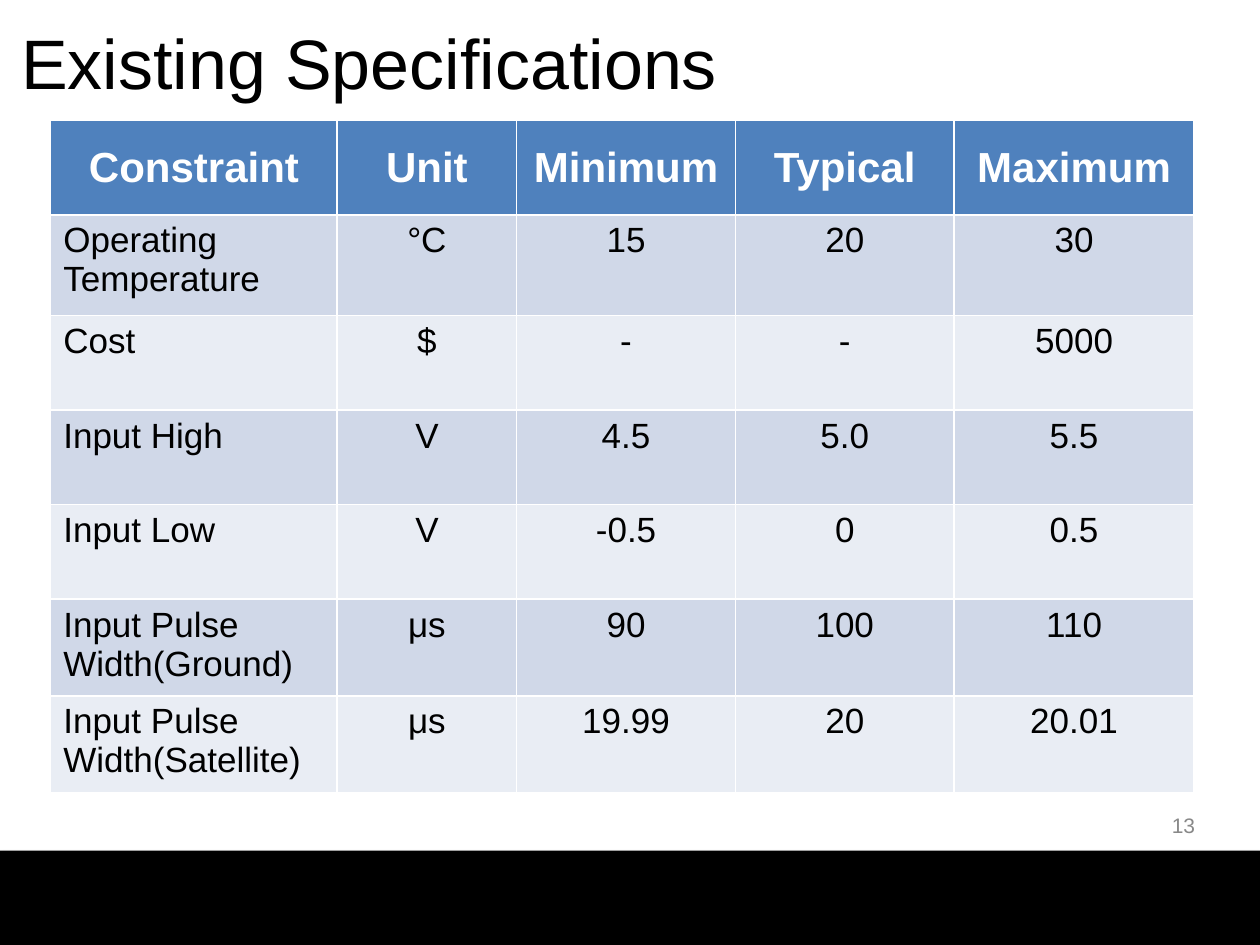
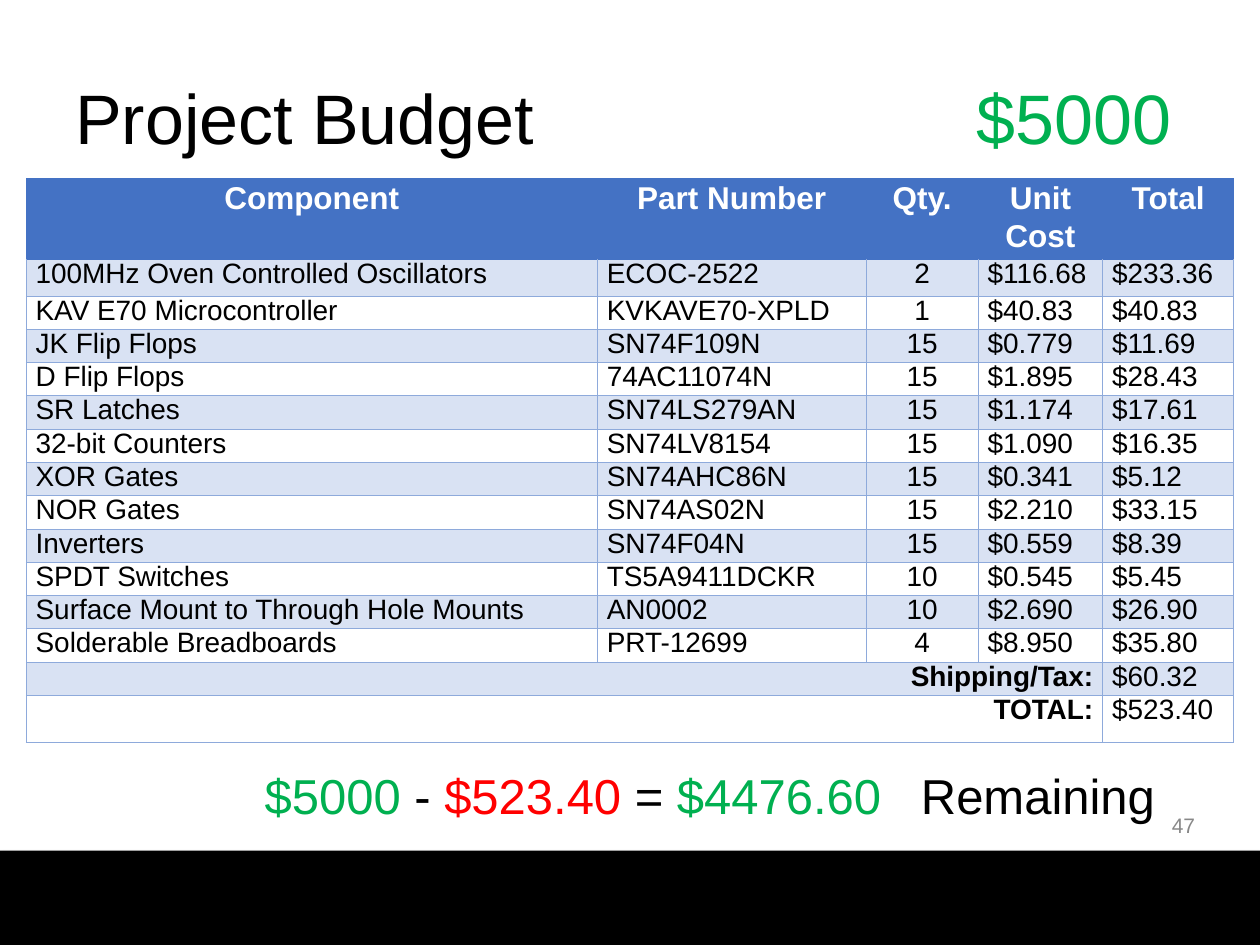
from lxml import etree
from pptx import Presentation
from pptx import util as u
from pptx.dml.color import RGBColor
from pptx.enum import shapes, text
from pptx.oxml import ns

Pt = u.Pt
FONT = "Arial"
BLACK = RGBColor(0x00, 0x00, 0x00)
WHITE = RGBColor(0xFF, 0xFF, 0xFF)
GREEN = RGBColor(0x00, 0xB0, 0x50)
RED = RGBColor(0xFF, 0x00, 0x00)
GREY = RGBColor(0x88, 0x88, 0x88)
SPEC_HEAD = RGBColor(0x4F, 0x81, 0xBD)
SPEC_DARK = RGBColor(0xD0, 0xD8, 0xE8)
SPEC_LIGHT = RGBColor(0xE9, 0xED, 0xF4)
COST_HEAD = RGBColor(0x44, 0x72, 0xC4)
COST_BAND = RGBColor(0xD9, 0xE2, 0xF3)
COST_LINE = RGBColor(0x8E, 0xAA, 0xDB)

# Built-in table styles
WHITE_GRID = "{5C22544A-7EE6-4342-B048-85BDC9FD1C3A}"
NO_GRID = "{2D5ABB26-0587-4C30-8999-92F81FD0307C}"

LEFT, CENTER, RIGHT = text.PP_ALIGN.LEFT, text.PP_ALIGN.CENTER, text.PP_ALIGN.RIGHT


def write_spans(para, spans, size, align=LEFT, bold=False):
    """Add coloured runs to a paragraph."""
    para.alignment = align
    for words, colour in spans:
        span = para.add_run()
        span.text = words
        span.font.name = FONT
        span.font.size = Pt(size)
        span.font.bold = bold
        span.font.color.rgb = colour


def add_text(page, left, top, width, height, spans, size, align=LEFT, tab=None):
    """Add a vertically centred text box, with one optional tab stop."""
    box = page.shapes.add_textbox(Pt(left), Pt(top), Pt(width), Pt(height))
    box.text_frame.word_wrap = True
    box.text_frame.vertical_anchor = text.MSO_ANCHOR.MIDDLE
    para = box.text_frame.paragraphs[0]
    if tab:
        stops = etree.SubElement(para._p.get_or_add_pPr(), ns.qn("a:tabLst"))
        etree.SubElement(stops, ns.qn("a:tab"), pos=str(Pt(tab)), algn="l")
    write_spans(para, spans, size, align)


deck = Presentation()
deck.slide_width, deck.slide_height = Pt(720), Pt(540)

# Shared bottom band and page number
pages = []
for number in ("13", "47"):
    page = deck.slides.add_slide(deck.slide_layouts[6])
    band = page.shapes.add_shape(shapes.MSO_SHAPE.RECTANGLE, 0, Pt(486), Pt(720), Pt(54))
    band.fill.solid()
    band.fill.fore_color.rgb = BLACK
    band.line.fill.background()
    band.shadow.inherit = False
    effects = band._element.spPr.find(ns.qn("a:effectLst"))
    shadow = etree.SubElement(effects, ns.qn("a:outerShdw"), blurRad=str(Pt(3.1)),
                              dist=str(Pt(1.8)), dir="5400000", rotWithShape="0")
    tint = etree.SubElement(shadow, ns.qn("a:srgbClr"), val=str(BLACK))
    etree.SubElement(tint, ns.qn("a:alpha"), val="35000")
    add_text(page, 522, 457, 168, 29, [(number, GREY)], 12, RIGHT)
    pages.append(page)
spec_page, budget_page = pages

# Titles and the remaining budget
add_text(spec_page, 5, 0, 662, 70.5, [("Existing Specifications", BLACK)], 40)
add_text(budget_page, 36, 21.6, 648, 90,
         [("Project Budget\t", BLACK), ("$5000", GREEN)], 40, tab=515)
add_text(budget_page, 144.2, 433.2, 540, 42,
         [("$5000 ", GREEN), ("- ", BLACK), ("$523.40 ", RED), ("= ", BLACK),
          ("$4476.60\t", GREEN), ("Remaining", BLACK)], 28, tab=375)

# Table contents
spec_rows = [
    ("Constraint", "Unit", "Minimum", "Typical", "Maximum"),
    ("Operating Temperature", "°C", "15", "20", "30"),
    ("Cost", "$", "-", "-", "5000"),
    ("Input High", "V", "4.5", "5.0", "5.5"),
    ("Input Low", "V", "-0.5", "0", "0.5"),
    ("Input Pulse Width(Ground)", "μs", "90", "100", "110"),
    ("Input Pulse Width(Satellite)", "μs", "19.99", "20", "20.01"),
]
cost_rows = [
    ("Component", "Part Number", "Qty.", "Unit Cost", "Total"),
    ("100MHz Oven Controlled Oscillators", "ECOC-2522", "2", "$116.68", "$233.36"),
    ("KAV E70 Microcontroller", "KVKAVE70-XPLD", "1", "$40.83", "$40.83"),
    ("JK Flip Flops", "SN74F109N", "15", "$0.779", "$11.69"),
    ("D Flip Flops", "74AC11074N", "15", "$1.895", "$28.43"),
    ("SR Latches", "SN74LS279AN", "15", "$1.174", "$17.61"),
    ("32-bit Counters", "SN74LV8154", "15", "$1.090", "$16.35"),
    ("XOR Gates", "SN74AHC86N", "15", "$0.341", "$5.12"),
    ("NOR Gates", "SN74AS02N", "15", "$2.210", "$33.15"),
    ("Inverters", "SN74F04N", "15", "$0.559", "$8.39"),
    ("SPDT Switches", "TS5A9411DCKR", "10", "$0.545", "$5.45"),
    ("Surface Mount to Through Hole Mounts", "AN0002", "10", "$2.690", "$26.90"),
    ("Solderable Breadboards", "PRT-12699", "4", "$8.950", "$35.80"),
    ("Shipping/Tax:", None, None, None, "$60.32"),
    ("TOTAL:", None, None, None, "$523.40"),
]

# Table styles; paired values are for the header and the body
spec_style = dict(
    page=spec_page, rows=spec_rows, left=29, top=68.8, grid=WHITE_GRID, line=None,
    widths=(163.7, 102.6, 125, 125, 137.1), heights=[54, 57.6] + [54] * 5,
    aligns=(LEFT, CENTER, CENTER, CENTER, CENTER), sizes=(24, 20), spacings=(1, 1),
    fills=(SPEC_HEAD, SPEC_DARK, SPEC_LIGHT), margins=(7.2, 3.6),
    head_anchor=text.MSO_ANCHOR.MIDDLE)
cost_style = dict(
    page=budget_page, rows=cost_rows, left=15, top=102, grid=NO_GRID, line=COST_LINE,
    widths=(326.4, 153.5, 64.1, 71.2, 74.8), heights=[43.4, 20.9] + [19.03] * 12 + [27],
    aligns=(LEFT, LEFT, CENTER, LEFT, LEFT), sizes=(18, 16), spacings=(1.07, 0.97),
    fills=(COST_HEAD, COST_BAND, None), margins=(5.4, 0),
    head_anchor=text.MSO_ANCHOR.TOP)

# Draw both tables
for style in (spec_style, cost_style):
    rows, widths, heights = style["rows"], style["widths"], style["heights"]
    table = style["page"].shapes.add_table(
        len(rows), len(widths), Pt(style["left"]), Pt(style["top"]),
        Pt(sum(widths)), Pt(sum(heights))).table
    table._tbl.tblPr.find(ns.qn("a:tableStyleId")).text = style["grid"]
    table.horz_banding = False
    for column, width in zip(table.columns, widths):
        column.width = Pt(width)

    for r, row in enumerate(rows):
        table.rows[r].height = Pt(heights[r])
        is_head, is_sum = r == 0, None in row
        if is_sum:
            table.cell(r, 0).merge(table.cell(r, 3))
        fill = style["fills"][0 if is_head else 2 - r % 2]
        part = 0 if is_head else 1

        for c, words in enumerate(row):
            cell = table.cell(r, c)
            cell.margin_left = cell.margin_right = Pt(style["margins"][0])
            cell.margin_top = cell.margin_bottom = Pt(style["margins"][1])
            if is_head:
                cell.vertical_anchor = style["head_anchor"]

            # Body borders come before the fill
            if style["line"] and not is_head:
                for side in "LRTB":
                    colour = COST_HEAD if r == 1 and side == "T" else style["line"]
                    edge = etree.SubElement(cell._tc.get_or_add_tcPr(),
                                            ns.qn("a:ln" + side), w=str(Pt(0.5)))
                    paint = etree.SubElement(edge, ns.qn("a:solidFill"))
                    etree.SubElement(paint, ns.qn("a:srgbClr"), val=str(colour))
            if fill is None:
                cell.fill.background()
            else:
                cell.fill.solid()
                cell.fill.fore_color.rgb = fill

            if words is None:
                continue
            is_label = is_sum and c == 0
            align = CENTER if is_head else RIGHT if is_label else style["aligns"][c]
            para = cell.text_frame.paragraphs[0]
            para.line_spacing = style["spacings"][part]
            write_spans(para, [(words, WHITE if is_head else BLACK)],
                        style["sizes"][part], align, is_head or is_label)

deck.save("out.pptx")
